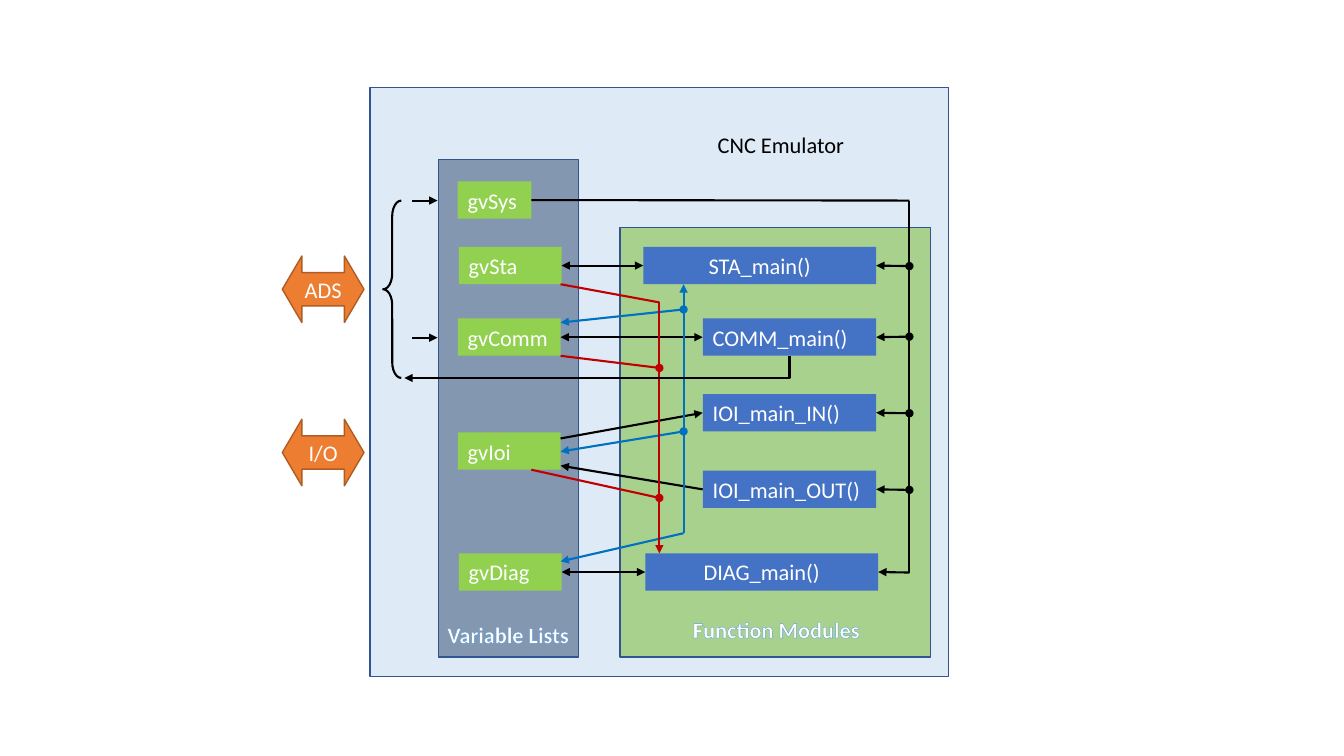
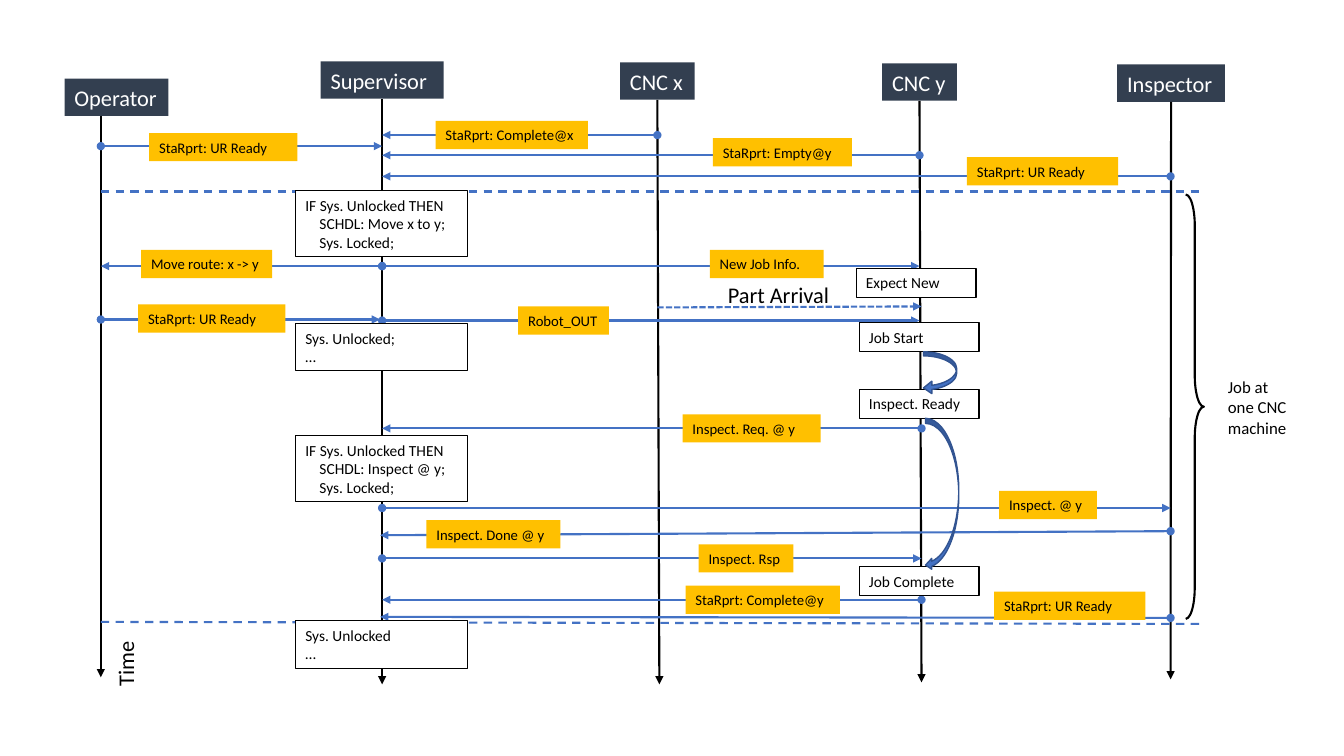
from lxml import etree
from pptx import Presentation
from pptx.dml.color import RGBColor
from pptx.enum.dml import MSO_LINE
from pptx.enum.shapes import MSO_CONNECTOR, MSO_SHAPE
from pptx.enum.text import MSO_ANCHOR, PP_ALIGN
from pptx.oxml.ns import qn
from pptx.util import Inches, Pt

BLACK = RGBColor(0x00, 0x00, 0x00)
WHITE = RGBColor(0xFF, 0xFF, 0xFF)
NAVY = RGBColor(0x33, 0x3F, 0x50)
BLUE = RGBColor(0x44, 0x72, 0xC4)
EDGE = RGBColor(0x32, 0x54, 0x91)
PALE = RGBColor(0xDE, 0xEB, 0xF7)
SLATE = RGBColor(0x84, 0x97, 0xB0)
SAGE = RGBColor(0xA9, 0xD1, 0x8E)
LIME = RGBColor(0x92, 0xD0, 0x50)
ORANGE = RGBColor(0xED, 0x7D, 0x31)
RUST = RGBColor(0xAF, 0x5C, 0x24)
SKY = RGBColor(0x00, 0x70, 0xC0)
RED = RGBColor(0xC0, 0x00, 0x00)
AMBER = RGBColor(0xFF, 0xC0, 0x00)
GLOW = RGBColor(0x5B, 0x9B, 0xD5)

RECT = MSO_SHAPE.RECTANGLE
DOUBLE_ARROW = MSO_SHAPE.LEFT_RIGHT_ARROW
CURVED_ARROW = MSO_SHAPE.CURVED_LEFT_ARROW
LEFT_BRACE, RIGHT_BRACE = MSO_SHAPE.LEFT_BRACE, MSO_SHAPE.RIGHT_BRACE
STRAIGHT, ELBOW = MSO_CONNECTOR.STRAIGHT, MSO_CONNECTOR.ELBOW
DASH, SHORT_DASH = MSO_LINE.DASH, MSO_LINE.SQUARE_DOT
LEFT, CENTER = PP_ALIGN.LEFT, PP_ALIGN.CENTER
MIDDLE, TOP = MSO_ANCHOR.MIDDLE, MSO_ANCHOR.TOP
BOTTOM_SIDE, LEFT_SIDE, RIGHT_SIDE = 2, 1, 3
ARROW, DOT = "triangle", "oval"


class Diagram:
    """Draws styled elements on the current slide."""

    font = "Calibri"
    row = 0.37      # height of one 16 pt line of text with its margins
    stroke = 1.5

    def __init__(self, prs):
        self.prs = prs
        self.s = None

    def new_slide(self):
        self.s = self.prs.slides.add_slide(self.prs.slide_layouts[6])

    def set_text(self, sp, text, size, color, align=LEFT, bold=False):
        tf = sp.text_frame
        tf.word_wrap = True
        for i, line in enumerate(text.split("\n")):
            p = tf.paragraphs[0] if i == 0 else tf.add_paragraph()
            p.text = line.lstrip("\t")
            if line.startswith("\t"):
                p._p.get_or_add_pPr().set("marL", str(Inches(0.14)))
            p.alignment = align
            p.font.name, p.font.size = self.font, Pt(size)
            p.font.bold = bold
            p.font.color.rgb = color

    def shape(self, kind, at, fill=None, edge=None, width=1, adj=()):
        sp = self.s.shapes.add_shape(kind, *map(Inches, at))
        sp.shadow.inherit = False
        for i, value in enumerate(adj):
            sp.adjustments[i] = value
        if fill is None:
            sp.fill.background()
        else:
            sp.fill.solid()
            sp.fill.fore_color.rgb = fill
        if edge is None:
            sp.line.fill.background()
        else:
            sp.line.color.rgb = edge
            sp.line.width = Pt(width)
        return sp

    def box(self, text, at, fill, color=WHITE, size=16, align=LEFT, edge=None):
        sp = self.shape(RECT, at, fill, edge, 0.75)
        sp.text_frame.vertical_anchor = MIDDLE
        self.set_text(sp, text, size, color, align)
        return sp

    def label(self, text, x, y, w):
        return self.box(text, (x, y, w, 0.28), AMBER, BLACK, 10.5)

    def note(self, text, x, y, w, h):
        return self.box(text, (x, y, w, h), WHITE, BLACK, 11, edge=BLACK)

    def port(self, text, y):
        sp = self.shape(DOUBLE_ARROW, (2.8, y, 0.81, 0.66), ORANGE, RUST,
                        adj=(0.5, 0.294))
        self.set_text(sp, text, 16, WHITE, CENTER)

    def text(self, text, at, size=16, rotation=0):
        sp = self.s.shapes.add_textbox(*map(Inches, at))
        sp.rotation = rotation
        sp.text_frame.vertical_anchor = TOP
        self.set_text(sp, text, size, BLACK)

    def caption(self, text, x, y, w):
        """Bold white text with a thin outline."""
        sp = self.s.shapes.add_textbox(*map(Inches, (x, y, w, self.row)))
        self.set_text(sp, text, 16, WHITE, CENTER, bold=True)
        sp.text_frame.word_wrap = False
        r = sp.text_frame.paragraphs[0].runs[0]
        ln = etree.Element(qn("a:ln"), w=str(Pt(0.8)))
        fill = etree.SubElement(ln, qn("a:solidFill"))
        etree.SubElement(fill, qn("a:srgbClr"), val=str(GLOW))
        r._r.get_or_add_rPr().insert(0, ln)

    def line(self, begin, end, color=BLACK, head=None, tail=None, dash=None,
             kind=STRAIGHT):
        """Each end is a point (x, y) or a joint (shape, side)."""
        joints = [not isinstance(e[0], (int, float)) for e in (begin, end)]
        points = [(0, 0) if j else e for j, e in zip(joints, (begin, end))]
        cxn = self.s.shapes.add_connector(
            kind, *(Inches(v) for point in points for v in point))
        if joints[0]:
            cxn.begin_connect(*begin)
        if joints[1]:
            cxn.end_connect(*end)
        cxn.line.color.rgb = color
        cxn.line.width = Pt(self.stroke)
        if dash:
            cxn.line.dash_style = dash
        ln = cxn.line._get_or_add_ln()
        for tag, style in (("a:headEnd", head), ("a:tailEnd", tail)):
            if style:
                etree.SubElement(ln, qn(tag), type=style)
        etree.SubElement(cxn._element.spPr, qn("a:effectLst"))
        return cxn

    def corner(self, begin, end, at, tail):
        """One-bend connector; at is its frame before a quarter turn."""
        cxn = self.line(begin, end, tail=tail, kind=ELBOW)
        cxn.left, cxn.top, cxn.width, cxn.height = map(Inches, at)
        sp_pr = cxn._element.spPr
        sp_pr.find(qn("a:prstGeom")).set("prst", "bentConnector2")
        xfrm = sp_pr.find(qn("a:xfrm"))
        for flip in ("flipH", "flipV"):
            xfrm.attrib.pop(flip, None)
        xfrm.set("rot", "5400000")


def emulator_slide(d):
    d.new_slide()

    # Panels
    d.shape(RECT, (3.67, 0.87, 5.74, 5.84), PALE, EDGE)
    d.shape(RECT, (6.15, 2.26, 3.08, 4.26), SAGE, EDGE)
    d.shape(RECT, (4.35, 1.58, 1.39, 4.94), SLATE, EDGE)
    d.text("CNC Emulator", (7.02, 1.25, 1.62, d.row))
    d.caption("Variable Lists", 4.33, 6.11, 1.42)
    d.caption("Function Modules", 6.76, 6.06, 1.88)

    # Variable lists and function modules
    lists = {name: d.box(name, (x, y, w, d.row), LIME) for name, x, y, w in (
        ("gvSys", 4.54, 1.8, 0.73), ("gvSta", 4.55, 2.45, 1.02),
        ("gvComm", 4.54, 3.16, 1.02), ("gvIoi", 4.54, 4.29, 1.02),
        ("gvDiag", 4.55, 5.49, 1.02))}
    modules = {name: d.box(name + "()", (x, y, w, d.row), BLUE, align=align)
               for name, x, y, w, align in (
        ("STA_main", 6.38, 2.45, 2.31, CENTER),
        ("COMM_main", 6.97, 3.16, 1.72, LEFT),
        ("IOI_main_IN", 6.97, 3.91, 1.72, LEFT),
        ("IOI_main_OUT", 6.97, 4.67, 1.72, LEFT),
        ("DIAG_main", 6.4, 5.49, 2.31, CENTER))}

    # System bus with a tap to every module
    bus_x, bus_top, bus_end = 9.02, 1.99, 5.68
    d.line((lists["gvSys"], RIGHT_SIDE), (bus_x, bus_top))
    d.line((bus_x, bus_end), (bus_x, bus_top))
    for name, y in (("STA_main", 2.64), ("COMM_main", 3.34),
                    ("IOI_main_IN", 4.1), ("IOI_main_OUT", 4.86),
                    ("DIAG_main", bus_end)):
        d.line((bus_x, y), (modules[name], RIGHT_SIDE),
               head=None if y == bus_end else DOT, tail=ARROW)

    # Links between modules and lists
    for module, name in (("STA_main", "gvSta"), ("COMM_main", "gvComm"),
                         ("DIAG_main", "gvDiag")):
        d.line((modules[module], LEFT_SIDE), (lists[name], RIGHT_SIDE),
               head=ARROW, tail=ARROW)
    d.line((modules["IOI_main_OUT"], LEFT_SIDE), (5.56, 4.62), tail=ARROW)
    d.line((modules["IOI_main_IN"], LEFT_SIDE), (5.56, 4.35), head=ARROW)

    # Status links (blue)
    sky_x = 6.78
    d.line((sky_x, 2.82), (sky_x, 5.29), SKY, head=ARROW)
    for y, end_y, head in ((4.28, 4.48, DOT), (3.07, 3.2, DOT),
                           (5.29, 5.57, None)):
        d.line((sky_x, y), (5.56, end_y), SKY, head, ARROW)

    # Diagnosis links (red)
    red_x = 6.54
    d.line((red_x, 3), (red_x, 5.49), RED, tail=ARROW)
    for x, y, end_y, tail in ((5.56, 2.82, 3, None), (5.56, 3.53, 3.65, DOT),
                              (5.27, 4.66, 4.94, DOT)):
        d.line((x, y), (red_x, end_y), RED, tail=tail)

    # Outside ports
    d.port("ADS", 2.54)
    d.port("I/O", 4.16)
    d.shape(LEFT_BRACE, (3.8, 1.99, 0.18, 1.76), edge=BLACK, width=d.stroke,
            adj=(0.86, 0.5))
    for y in (1.99, 3.35):
        d.line((4.09, y), (4.34, y), tail=ARROW)
    d.corner((modules["COMM_main"], BOTTOM_SIDE), (4.01, 3.75),
             (5.81, 1.73, 0.22, 3.82), ARROW)


def sequence_slide(d):
    d.new_slide()
    operator, supervisor, cnc_x, cnc_y, inspector = 1, 3.79, 6.52, 9.12, 11.61

    # Actors and lifelines
    for name, x, y, w, end in (
            ("Operator", 0.64, 0.78, 1.03, (operator, 6.72)),
            ("Supervisor", 3.18, 0.61, 1.22, (supervisor, 6.79)),
            ("CNC x", 6.15, 0.62, 0.74, (6.54, 6.79)),
            ("CNC y", 8.75, 0.63, 0.74, (9.14, 6.77)),
            ("Inspector", 11.08, 0.64, 1.07, (inspector, 6.74))):
        actor = d.box(name, (x, y, w, d.row), NAVY)
        begin = (operator, 1.15) if name == "Operator" else (actor, BOTTOM_SIDE)
        d.line(begin, end, tail=ARROW)

    # Job limits
    for y, end_y in ((1.9, 1.9), (6.17, 6.19)):
        d.line((operator, y), (11.91, end_y), BLUE, dash=DASH)

    # Messages: from, to, heights at both ends, label with left, top, width
    for x, end_x, y, end_y, *label in (
            (cnc_x, supervisor, 1.34, 1.34, "StaRprt: Complete@x", 4.32, 1.2, 1.51),
            (operator, supervisor, 1.45, 1.45, "StaRprt: UR Ready", 1.48, 1.32, 1.47),
            (cnc_y, supervisor, 1.54, 1.54, "StaRprt: Empty@y", 7.07, 1.37, 1.38),
            (inspector, supervisor, 1.75, 1.75, "StaRprt: UR Ready", 9.59, 1.56, 1.5),
            (supervisor, operator, 2.64, 2.64, "Move route: x -> y", 1.4, 2.48, 1.3),
            (supervisor, cnc_y, 2.64, 2.64, "New Job Info.", 7.04, 2.48, 1.13),
            (operator, 3.77, 3.17, 3.17, "StaRprt: UR Ready", 1.37, 3.02, 1.46),
            (supervisor, cnc_y, 3.18, 3.18, "Robot_OUT", 5.14, 3.04, 0.9),
            (9.14, supervisor, 4.25, 4.25, "Inspect. Req. @ y", 6.77, 4.11, 1.37),
            (supervisor, inspector, 5.04, 5.04, "Inspect. @ y", 9.91, 4.87, 0.97),
            (inspector, 3.77, 5.27, 5.31, "Inspect. Done @ y", 4.23, 5.16, 1.33),
            (supervisor, 9.14, 5.54, 5.54, "Inspect. Rsp", 6.93, 5.4, 0.94),
            (9.14, supervisor, 5.95, 5.95, "StaRprt: Complete@y", 6.8, 5.81, 1.53),
            (inspector, 3.77, 6.13, 6.12, "StaRprt: UR Ready", 9.86, 5.87, 1.5)):
        d.line((x, y), (end_x, end_y), BLUE, DOT, ARROW)
        d.label(*label)
    d.line((cnc_x, 3.05), (9.14, 3.04), BLUE, tail=ARROW, dash=SHORT_DASH)
    d.text("Part Arrival", (7.12, 2.74, 2.06, d.row))

    # Supervisor steps
    for text, y, h in (
            ("IF Sys. Unlocked THEN\n\tSCHDL: Move x to y;\n\tSys. Locked;", 1.89, 0.66),
            ("Sys. Unlocked;\n…", 3.21, 0.47),
            ("IF Sys. Unlocked THEN\n\tSCHDL: Inspect @ y;\n\tSys. Locked;", 4.32, 0.66),
            ("Sys. Unlocked\n…", 6.16, 0.47)):
        d.note(text, 2.93, y, 1.71, h)

    # CNC y states
    for text, x, y in (("Expect New", 8.49, 2.66), ("Job Start", 8.52, 3.2),
                       ("Inspect. Ready", 8.52, 3.86),
                       ("Job Complete", 8.52, 5.62)):
        d.note(text, x, y, 1.19, 0.29)
    for x, y, h, adj in ((9.16, 3.49, 0.42, (0.122, 0.373, 0.25)),
                         (9.18, 4.15, 1.51, (0.154, 0.326, 0.187))):
        d.shape(CURVED_ARROW, (x, y, 0.33, h), BLUE, EDGE, adj=adj)

    # Job span and time axis
    d.shape(RIGHT_BRACE, (11.76, 1.93, 0.18, 4.21), edge=BLACK,
            width=d.stroke, adj=(1.714, 0.5))
    d.text("Job at one CNC machine", (12.08, 3.69, 0.84, 0.71), 12)
    d.text("Time", (0.67, 6.15, 1.15, d.row), rotation=270)


def main():
    prs = Presentation()
    prs.slide_width, prs.slide_height = Inches(13.33), Inches(7.5)
    d = Diagram(prs)
    emulator_slide(d)
    sequence_slide(d)
    prs.save("out.pptx")


if __name__ == "__main__":
    main()
